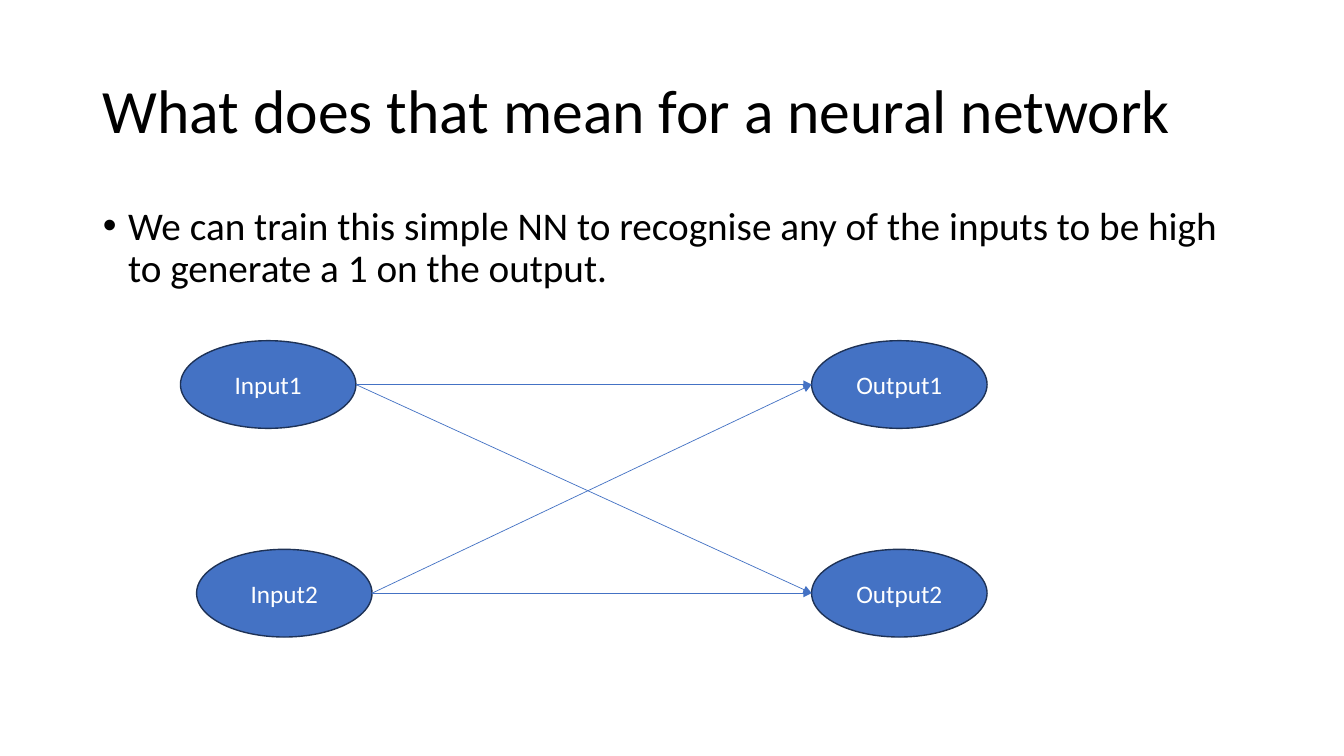
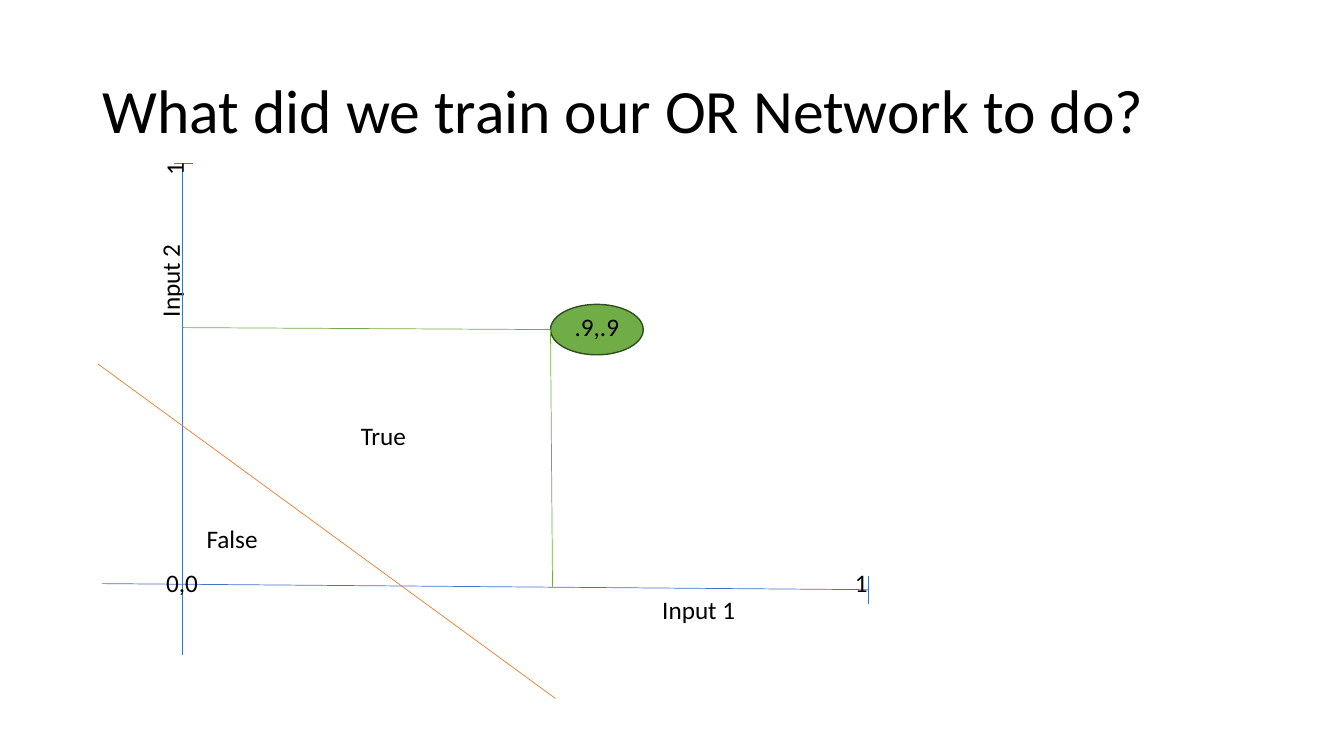
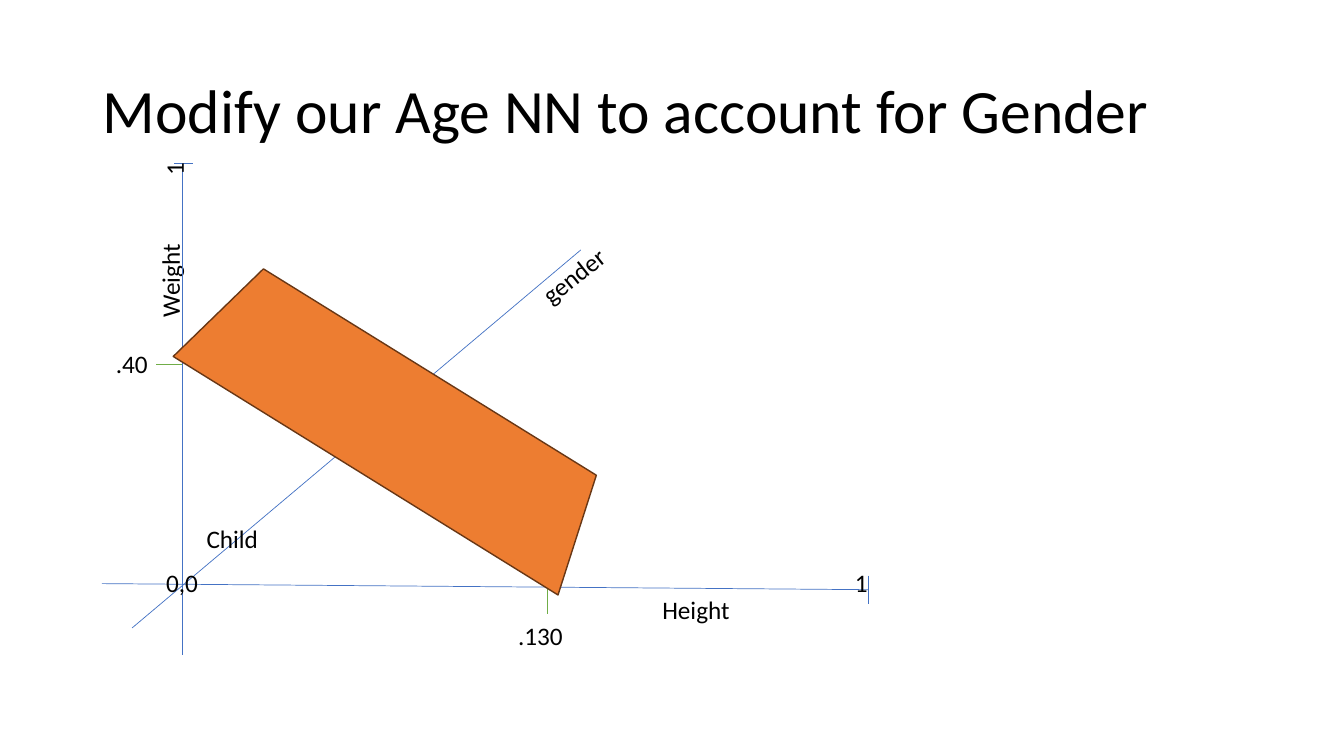
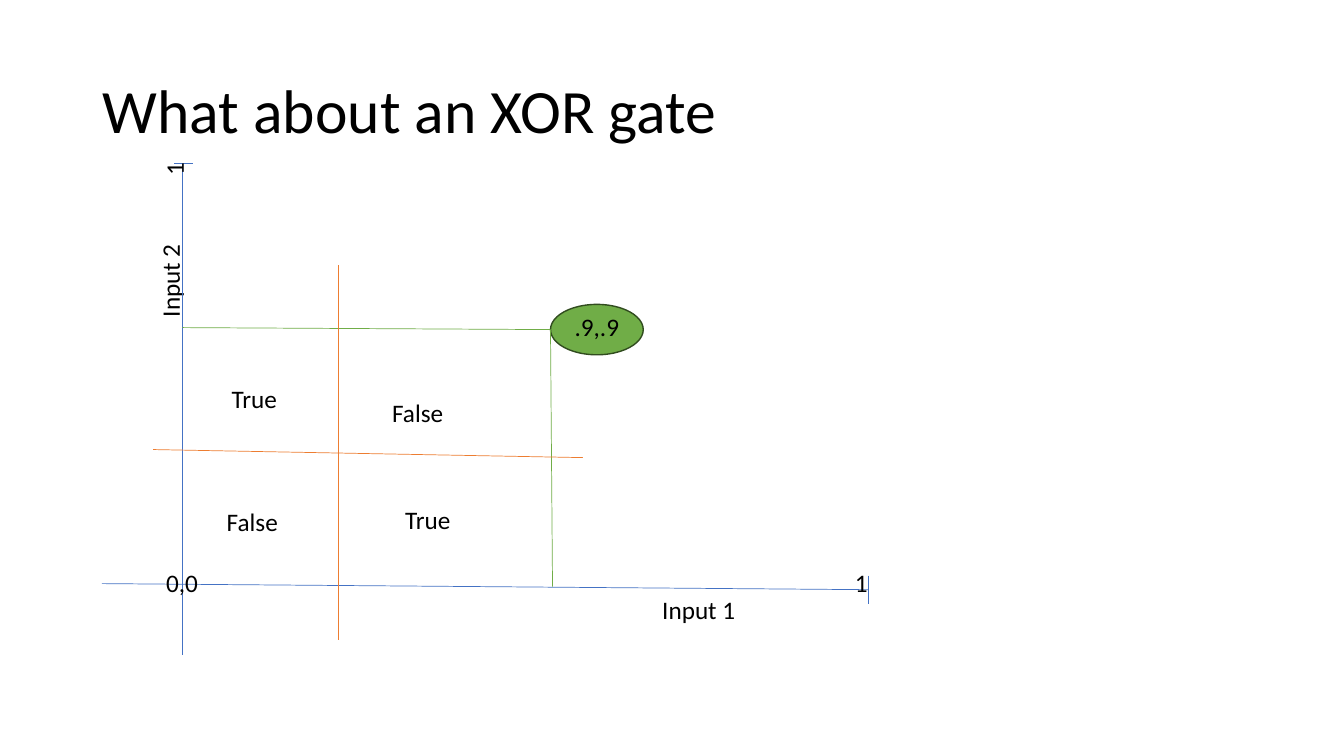
from lxml.etree import SubElement
from pptx import Presentation
from pptx.dml.color import RGBColor
from pptx.enum.shapes import MSO_CONNECTOR, MSO_SHAPE
from pptx.enum.text import MSO_ANCHOR, MSO_AUTO_SIZE, PP_ALIGN
from pptx.oxml.ns import qn
from pptx.util import Inches, Pt

FONT = "Calibri"
BLACK, WHITE = "000000", "FFFFFF"
BLUE, DARK_BLUE = "4472C4", "1E3256"
GREEN, DARK_GREEN = "70AD47", "314C1F"
ORANGE, DARK_ORANGE = "ED7D31", "683715"
TITLE_AND_CONTENT, TITLE_ONLY = 1, 5
TITLE_BOX = (0.92, 0.4, 11.5, 1.45)
BODY_BOX = (0.92, 2, 11.5, 4.76)
LABEL_HEIGHT = 0.4

# Slide 1: network nodes as (text, left, top), and the links between them
NETWORK_TITLE = "What does that mean for a neural network"
NETWORK_BULLET = ("We can train this simple NN to recognise any of the inputs "
                  "to be high to generate a 1 on the output.")
NODE_WIDTH, NODE_HEIGHT = 1.74, 0.87
INPUTS = [("Input1", 1.79, 3.38), ("Input2", 1.95, 5.45)]
OUTPUTS = [("Output1", 8.05, 3.38), ("Output2", 8.05, 5.45)]

# Lines are (x1, y1, x2, y2, colour); labels are (text, left, top, width, rotation)
AXIS_LINES = [
    (1.81, 1.62, 1.81, 6.5, BLUE),
    (1.01, 5.79, 8.61, 5.85, BLUE),
    (8.61, 5.71, 8.61, 5.99, BLUE),
    (1.73, 1.62, 1.91, 1.62, BLUE),
]
AXIS_LABELS = [
    ("0,0", 1.55, 5.58, 0.52, 0),
    ("1", 8.38, 5.58, 0.33, 0),
    ("1", 1.56, 1.47, 0.33, 270),
]
POINT_BOX = (5.46, 3.02, 0.92, 0.5)
POINT_LABEL = (".9,.9", 5.6, 3.04, 0.65, 0)
POINT_LINES = [
    (5.46, 3.27, 5.48, 5.82, GREEN),
    (1.81, 3.25, 5.46, 3.27, GREEN),
]
PLANE_BOX, PLANE_ROTATION = (1.7, 3.6, 4.49, 1.21), 31.8

# Slides 2 to 4: one chart each
CHARTS = [
    {
        "title": "What did we train our OR Network to do?",
        "axes": ("Input 1", 0.93, "Input 2"),
        "point": True,
        "lines": [(0.97, 3.61, 5.51, 6.93, ORANGE)],
        "labels": [("True", 3.48, 4.12, 0.66, 0), ("False", 1.95, 5.14, 0.71, 0)],
    },
    {
        "title": "Modify our Age NN to account for Gender",
        "axes": ("Height", 0.88, "Weight"),
        "plane": True,
        "lines": [
            (1.55, 3.61, 1.81, 3.61, GREEN),
            (5.43, 5.82, 5.43, 6.09, GREEN),
            (1.31, 6.23, 5.76, 2.48, BLUE),
        ],
        "labels": [
            ("Child", 1.95, 5.14, 0.72, 0),
            (".40", 1.05, 3.41, 0.52, 0),
            (".130", 5.04, 6.1, 0.65, 0),
            ("gender", 5.23, 2.53, 0.93, 321.6),
        ],
    },
    {
        "title": "What about an XOR gate",
        "axes": ("Input 1", 0.93, "Input 2"),
        "point": True,
        "lines": [
            (3.36, 2.63, 3.36, 6.35, ORANGE),
            (1.52, 4.46, 5.78, 4.54, ORANGE),
        ],
        "labels": [
            ("False", 3.79, 3.89, 0.71, 0),
            ("False", 2.15, 4.97, 0.71, 0),
            ("True", 2.2, 3.75, 0.66, 0),
            ("True", 3.92, 4.95, 0.66, 0),
        ],
    },
]


def rgb(colour):
    return RGBColor.from_string(colour)


def inches(lengths):
    return [Inches(length) for length in lengths]


def write(paragraph, text, size=18, colour=BLACK):
    run = paragraph.add_run()
    run.text = text
    run.font.name = FONT
    run.font.size = Pt(size)
    run.font.color.rgb = rgb(colour)


def fill_placeholder(placeholder, box, text, size, anchor):
    placeholder.left, placeholder.top, placeholder.width, placeholder.height = inches(box)
    frame = placeholder.text_frame
    frame.word_wrap = True
    frame.auto_size = MSO_AUTO_SIZE.NONE
    frame.vertical_anchor = anchor
    paragraph = frame.paragraphs[0]
    paragraph.alignment = PP_ALIGN.LEFT
    paragraph.line_spacing = 0.9
    write(paragraph, text, size)
    return paragraph


def add_titled_slide(presentation, layout, title):
    slide = presentation.slides.add_slide(presentation.slide_layouts[layout])
    fill_placeholder(slide.shapes.title, TITLE_BOX, title, 44, MSO_ANCHOR.MIDDLE)
    return slide


def add_filled_shape(slide, kind, box, fill, outline):
    shape = slide.shapes.add_shape(kind, *inches(box))
    shape.shadow.inherit = False
    shape.fill.solid()
    shape.fill.fore_color.rgb = rgb(fill)
    shape.line.color.rgb = rgb(outline)
    shape.line.width = Pt(1)
    return shape


def add_line(slide, x1, y1, x2, y2, colour, arrow=False):
    line = slide.shapes.add_connector(MSO_CONNECTOR.STRAIGHT, *inches((x1, y1, x2, y2)))
    line.line.color.rgb = rgb(colour)
    line.line.width = Pt(0.5)
    if arrow:
        SubElement(line.line._get_or_add_ln(), qn("a:tailEnd"), type="triangle")
    SubElement(line._element.spPr, qn("a:effectLst"))


def add_label(slide, text, left, top, width, rotation, wrap=False):
    label = slide.shapes.add_textbox(*inches((left, top, width, LABEL_HEIGHT)))
    label.rotation = rotation
    label.text_frame.word_wrap = wrap
    label.text_frame.auto_size = MSO_AUTO_SIZE.SHAPE_TO_FIT_TEXT
    write(label.text_frame.paragraphs[0], text)


def build_network_slide(presentation):
    slide = add_titled_slide(presentation, TITLE_AND_CONTENT, NETWORK_TITLE)
    bullet = fill_placeholder(slide.placeholders[1], BODY_BOX, NETWORK_BULLET, 28,
                              MSO_ANCHOR.TOP)
    bullet.space_before = Pt(10)
    properties = bullet._p.get_or_add_pPr()
    properties.set("marL", str(Inches(0.25)))
    properties.set("indent", str(Inches(-0.25)))
    SubElement(properties, qn("a:buFont"), typeface="Arial")
    SubElement(properties, qn("a:buChar"), char="•")

    # Nodes
    for text, left, top in INPUTS + OUTPUTS:
        node = add_filled_shape(slide, MSO_SHAPE.OVAL, (left, top, NODE_WIDTH, NODE_HEIGHT),
                                BLUE, DARK_BLUE)
        node.text_frame.vertical_anchor = MSO_ANCHOR.MIDDLE
        paragraph = node.text_frame.paragraphs[0]
        paragraph.alignment = PP_ALIGN.CENTER
        write(paragraph, text, colour=WHITE)

    # Every input feeds every output
    middle = NODE_HEIGHT / 2
    for _, input_left, input_top in INPUTS:
        for _, output_left, output_top in OUTPUTS:
            add_line(slide, input_left + NODE_WIDTH, input_top + middle,
                     output_left, output_top + middle, BLUE, arrow=True)


def build_chart_slide(presentation, chart):
    slide = add_titled_slide(presentation, TITLE_ONLY, chart["title"])
    has_point = chart.get("point", False)
    if has_point:
        add_filled_shape(slide, MSO_SHAPE.OVAL, POINT_BOX, GREEN, DARK_GREEN)

    # Axes with their names, then what this chart adds
    horizontal, horizontal_width, vertical = chart["axes"]
    add_label(slide, horizontal, 6.47, 5.85, horizontal_width, 0)
    add_label(slide, vertical, 1.17, 2.53, 1.03, 270, wrap=True)
    for line in AXIS_LINES + POINT_LINES * has_point + chart["lines"]:
        add_line(slide, *line)
    for label in AXIS_LABELS + [POINT_LABEL] * has_point + chart["labels"]:
        add_label(slide, *label)

    # Dividing plane on top
    if chart.get("plane"):
        plane = add_filled_shape(slide, MSO_SHAPE.TRAPEZOID, PLANE_BOX, ORANGE, DARK_ORANGE)
        plane.rotation = PLANE_ROTATION


def main():
    presentation = Presentation()
    presentation.slide_width, presentation.slide_height = inches((13.33, 7.5))
    build_network_slide(presentation)
    for chart in CHARTS:
        build_chart_slide(presentation, chart)
    presentation.save("out.pptx")


if __name__ == "__main__":
    main()
